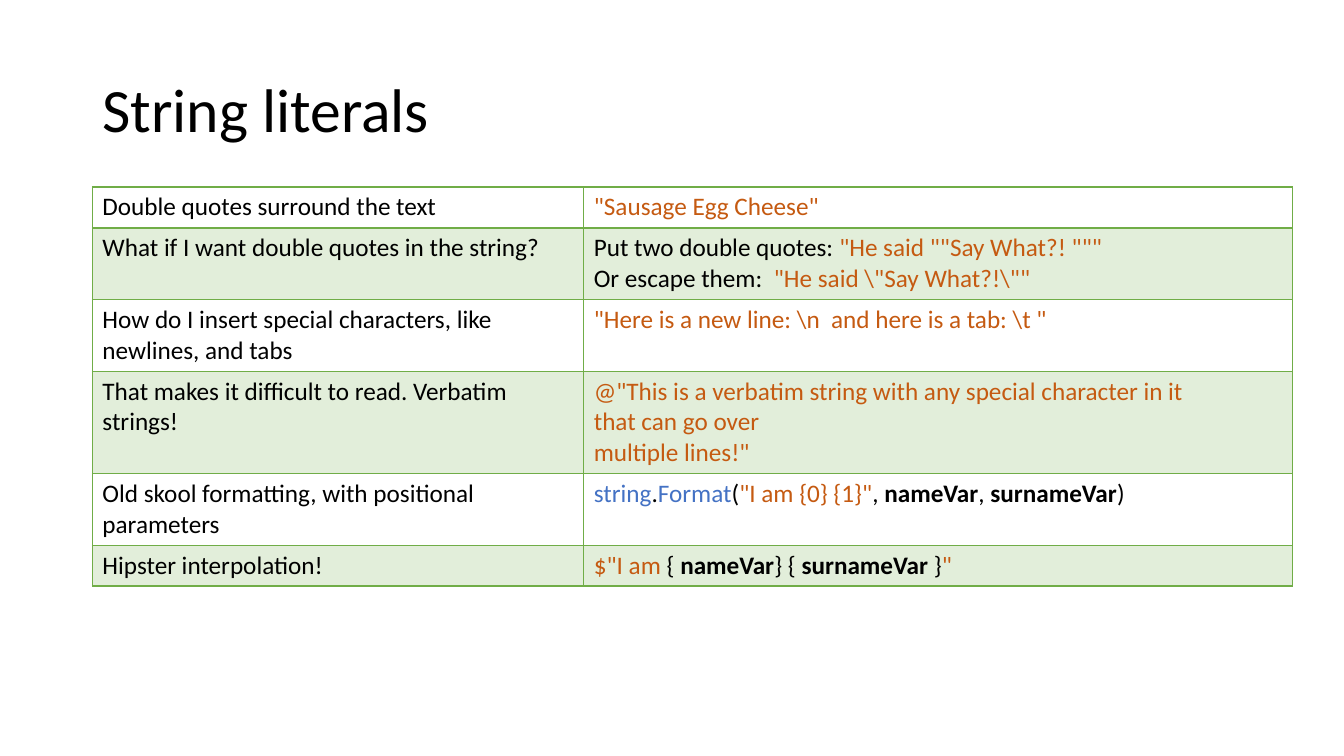
import pptx
import pptx.util
import pptx.dml.color
import pptx.enum.text
import pptx.oxml
import pptx.oxml.ns

THEME = {
    "font": "Calibri",
    "title_size": 44,
    "body_size": 18,
    "plain": "000000",
    "bold": "000000",
    "literal": "C55A11",
    "type": "4472C4",
    "green": "70AD47",
    "band_alpha": 20,
}
EMU_PER_PX = 9525

ROWS = [
    ("Double quotes surround the text",
     [[('"Sausage Egg Cheese"', "literal")]]),
    ("What if I want double quotes in the string?",
     [[("Put two double quotes: ", "plain"), ('"He said ""Say What?! """', "literal")],
      [("Or escape them:  ", "plain"), (r'"He said \"Say What?!\""', "literal")]]),
    ("How do I insert special characters, like newlines, and tabs",
     [[(r'"Here is a new line: \n  and here is a tab: \t "', "literal")]]),
    ("That makes it difficult to read. Verbatim strings!",
     [[('@"This is a verbatim string with any special character in it', "literal")],
      [("that can go over", "literal")],
      [('multiple lines!"', "literal")]]),
    ("Old skool formatting, with positional parameters",
     [[("string", "type"), (".", "plain"), ("Format", "type"), ("(", "plain"),
       ('"I am {0} {1}"', "literal"), (", ", "plain"), ("nameVar", "bold"),
       (", ", "plain"), ("surnameVar", "bold"), (")", "plain")]]),
    ("Hipster interpolation!",
     [[('$"I am', "literal"), (" { ", "plain"), ("nameVar", "bold"), ("} { ", "plain"),
       ("surnameVar", "bold"), (" }", "plain"), ('"', "literal")]]),
]
COLUMN_WIDTHS = [468, 675]
ROW_HEIGHT = 39


def px(n):
    return pptx.util.Emu(n * EMU_PER_PX)


def format_run(r, size, style):
    r.font.name = THEME["font"]
    r.font.size = pptx.util.Pt(size)
    r.font.bold = style == "bold"
    r.font.color.rgb = pptx.dml.color.RGBColor.from_string(THEME[style])


prs = pptx.Presentation()
prs.slide_width, prs.slide_height = px(1280), px(720)
s = prs.slides.add_slide(prs.slide_layouts[5])

title = s.shapes.title
title.left, title.top, title.width, title.height = px(88), px(38), px(1104), px(139)
tf = title.text_frame
tf.text = "String literals"
tf.vertical_anchor = pptx.enum.text.MSO_ANCHOR.MIDDLE
p = tf.paragraphs[0]
p.alignment = pptx.enum.text.PP_ALIGN.LEFT
p.line_spacing = 0.9
format_run(p.runs[0], THEME["title_size"], "plain")

sp = s.shapes.add_table(len(ROWS), 2, px(88), px(178),
                        px(sum(COLUMN_WIDTHS)), px(ROW_HEIGHT * len(ROWS)))
table = sp.table
table.first_row = False
table.horz_banding = False
for column, width in zip(table.columns, COLUMN_WIDTHS):
    column.width = px(width)

for i, (question, answer) in enumerate(ROWS):
    table.rows[i].height = px(ROW_HEIGHT)
    for j, paragraphs in enumerate([[[(question, "plain")]], answer]):
        cell = table.cell(i, j)
        tf = cell.text_frame
        for k, runs in enumerate(paragraphs):
            p = tf.add_paragraph() if k else tf.paragraphs[0]
            for text, style in runs:
                r = p.add_run()
                r.text = text
                format_run(r, THEME["body_size"], style)

        tcPr = cell._tc.get_or_add_tcPr()
        if i % 2:
            cell.fill.solid()
            cell.fill.fore_color.rgb = pptx.dml.color.RGBColor.from_string(THEME["green"])
            color = tcPr.find(".//" + pptx.oxml.ns.qn("a:srgbClr"))
            alpha = color.makeelement(pptx.oxml.ns.qn("a:alpha"),
                                      {"val": str(THEME["band_alpha"] * 1000)})
            color.append(alpha)
        else:
            cell.fill.background()

        for n, side in enumerate("LRTB"):
            thick = (i, side) in [(0, "B"), (1, "T")]
            border = pptx.oxml.parse_xml(
                f'<a:ln{side} {pptx.oxml.ns.nsdecls("a")} w="{pptx.util.Pt(2 if thick else 1)}">'
                f'<a:solidFill><a:srgbClr val="{THEME["green"]}"/></a:solidFill></a:ln{side}>')
            tcPr.insert(n, border)

sp.height = px(375)
prs.save("out.pptx")
